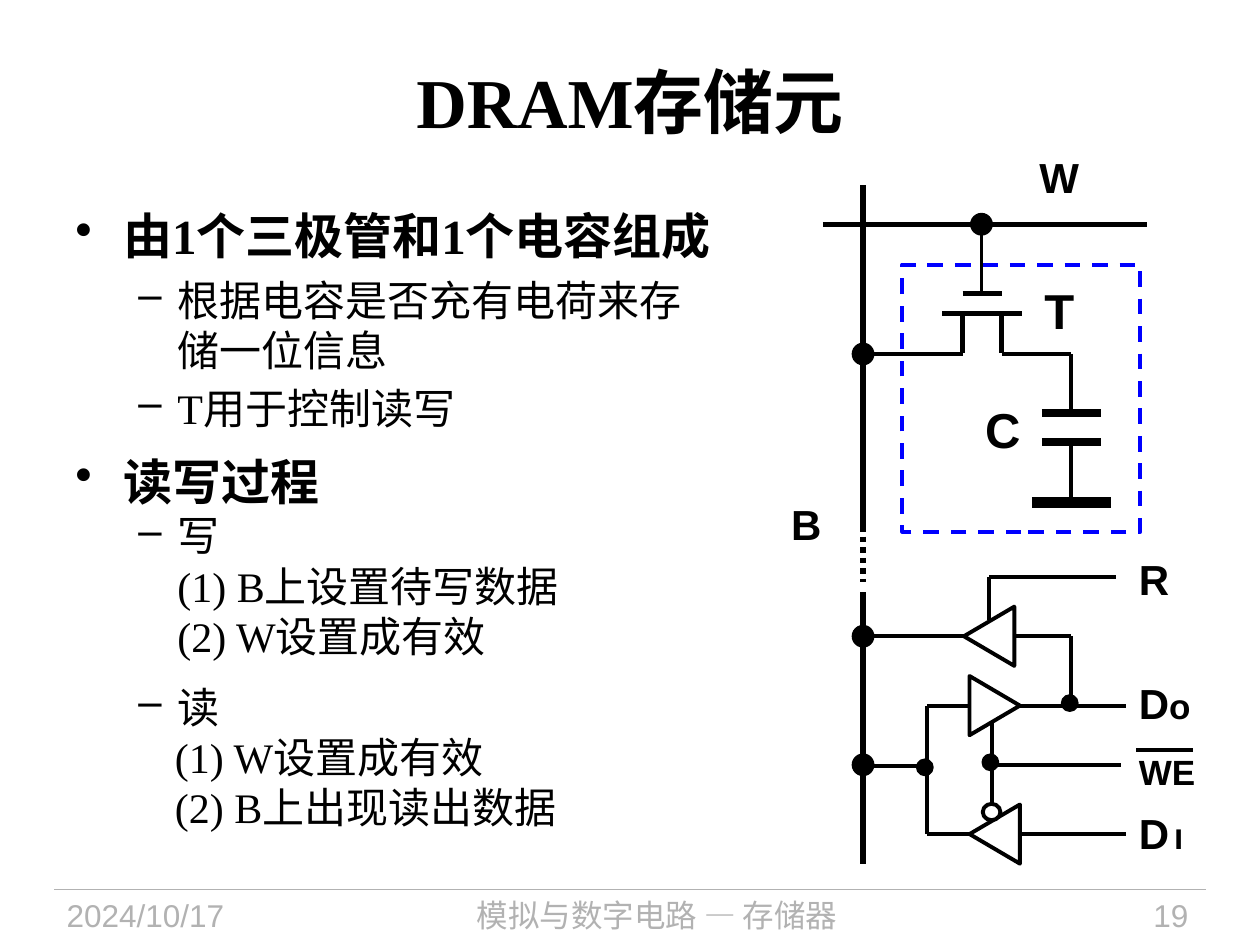
import pptx
import pptx.util
import pptx.dml.color
import pptx.enum.dml
import pptx.enum.shapes
import pptx.enum.text
import pptx.oxml.ns
from lxml import etree

COLORS = {"ink": "000000", "paper": "FFFFFF", "cell": "0000FF", "footer": "B2B2B2"}
SHAPES = pptx.enum.shapes.MSO_SHAPE
ALIGN = pptx.enum.text.PP_ALIGN
DASH = pptx.enum.dml.MSO_LINE
COLUMNS, ROWS = 100, 75  # grid over a slide of 10 x 7.5 inches
BIT_LINE = 68.5  # column of the vertical line B
LABEL_COLUMN = 89.4


def grid(units):
    return pptx.util.Inches(units / 10)


def rgb(name):
    return pptx.dml.color.RGBColor.from_string(COLORS[name])


def add_line(slide, start, end, width=2.25, color="ink", dash=None):
    line = slide.shapes.add_connector(
        pptx.enum.shapes.MSO_CONNECTOR.STRAIGHT, *map(grid, start + end))
    line.line.color.rgb = rgb(color)
    line.line.width = pptx.util.Pt(width)
    if dash:
        line.line.dash_style = dash
    etree.SubElement(line._element.spPr, pptx.oxml.ns.qn("a:effectLst"))
    return line


def add_figure(slide, kind, box, fill=None, color="ink", width=2.25, rotation=0):
    shape = slide.shapes.add_shape(kind, *map(grid, box))
    shape.shadow.inherit = False
    shape.rotation = rotation
    if fill:
        shape.fill.solid()
        shape.fill.fore_color.rgb = rgb(fill)
    else:
        shape.fill.background()
    shape.line.color.rgb = rgb(color)
    shape.line.width = pptx.util.Pt(width)
    return shape


def add_dot(slide, column, row, size):
    box = (column - size / 2, row - size / 2, size, size)
    add_figure(slide, SHAPES.OVAL, box, "ink", width=1.5)


def add_buffer(slide, column, row, rotation):
    """Triangle centred on a grid point: 90 points left, 270 points right."""
    box = (column - 2.35, row - 2, 4.7, 4)
    add_figure(slide, SHAPES.FLOWCHART_MERGE, box, "paper", rotation=rotation)


def format_run(run, size, font, color="ink", bold=False):
    run.font.size = pptx.util.Pt(size)
    run.font.name = font
    run.font.bold = bold
    run.font.color.rgb = rgb(color)


def add_text(slide, box, runs, align=ALIGN.LEFT, color="ink", bold=True, wrap=True):
    """Runs are (text, size, font) tuples in a single paragraph."""
    text_frame = slide.shapes.add_textbox(*map(grid, box)).text_frame
    text_frame.word_wrap = wrap
    paragraph = text_frame.paragraphs[0]
    paragraph.alignment = align
    for text, size, font in runs:
        run = paragraph.add_run()
        run.text = text
        format_run(run, size, font, color, bold)
    return text_frame


def set_bullet(paragraph, left, hanging, bullet):
    properties = paragraph._p.get_or_add_pPr()
    properties.set("marL", str(grid(left)))
    properties.set("indent", str(-grid(hanging)))
    if bullet == "(1)":
        tag, attribute, value = "a:buAutoNum", "type", "arabicParenBoth"
    elif bullet:
        tag, attribute, value = "a:buChar", "char", bullet
    else:
        etree.SubElement(properties, pptx.oxml.ns.qn("a:buNone"))
        return
    etree.SubElement(properties, pptx.oxml.ns.qn(tag)).set(attribute, value)


def add_body(slide):
    # kind: left margin, hanging indent, bullet, size
    kinds = {"head": (3.8, 3.8, "•", 28), "item": (8.1, 3.1, "–", 24),
             "step": (8.1, 0, None, 24), "number": (10, 2.1, "(1)", 24)}
    # kind, text, space before, space after
    lines = [
        ("head", "由1个三极管和1个电容组成", 0, 5.6),
        ("item", "根据电容是否充有电荷来存储一位信息", 0, 4.8),
        ("item", "T用于控制读写", 0, 4.8),
        ("head", "读写过程", 6, 0),
        ("item", "写", 0, 0),
        ("step", "(1) B上设置待写数据", 0, 0),
        ("step", "(2) W设置成有效", 0, 0),
        ("item", "读", 12, 0),
        ("number", " W设置成有效", 0, 0),
        ("number", " B上出现读出数据", 0, 0),
    ]
    text_frame = slide.shapes.add_textbox(*map(grid, (5, 15.9, 52.9, 53.9))).text_frame
    text_frame.word_wrap = True
    for index, (kind, text, before, after) in enumerate(lines):
        paragraph = text_frame.add_paragraph() if index else text_frame.paragraphs[0]
        left, hanging, bullet, size = kinds[kind]
        paragraph.text = text
        paragraph.level = 0 if kind == "head" else 1
        paragraph.line_spacing = pptx.util.Pt(round(size * 1.19, 1))
        paragraph.space_before = pptx.util.Pt(before)
        paragraph.space_after = pptx.util.Pt(after)
        set_bullet(paragraph, left, hanging, bullet)
        format_run(paragraph.runs[0], size, "Times New Roman", bold=kind == "head")


def add_footer(slide):
    add_line(slide, (4.3, 70.6), (95.7, 70.6), 0.75, "footer")
    for left, width, text, font, align in [
            (4.3, 18.8, "2024/10/17", "Arial", ALIGN.LEFT),
            (24, 56.3, "模拟与数字电路 — 存储器", "Noto Sans CJK SC", ALIGN.CENTER),
            (82, 13.3, "19", "Arial", ALIGN.RIGHT)]:
        add_text(slide, (left, 70.6, width, 4.4), [(text, 18, font)], align, "footer", False)


def add_cell(slide):
    # Dashed frame of one storage cell
    frame = add_figure(slide, SHAPES.RECTANGLE, (71.6, 21, 18.9, 21.2), color="cell")
    frame.line.dash_style = DASH.DASH
    # Word line and upper bit line
    add_line(slide, (65.3, 17.8), (91, 17.8), 3)
    add_line(slide, (BIT_LINE, 14.7), (BIT_LINE, 42.2), 3)
    # Transistor: gate, channel, two legs
    add_line(slide, (76.4, 23.3), (79.5, 23.3), 3)
    add_line(slide, (74.8, 24.9), (81.1, 24.9), 3)
    for column in (76.4, 79.5):
        add_line(slide, (column, 24.9), (column, 28), 3)
    add_line(slide, (77.9, 17.8), (77.9, 23.3))
    add_line(slide, (BIT_LINE, 28.1), (76.4, 28.1))
    add_line(slide, (79.5, 28.1), (85, 28.1))
    # Capacitor and ground
    add_line(slide, (85, 28.1), (85, 32.8))
    add_line(slide, (85, 35.1), (85, 39.9))
    for row in (32.8, 35.1):
        add_line(slide, (82.7, row), (87.4, row), 4.5)
    add_line(slide, (81.9, 39.9), (88.2, 39.9), 6)
    add_dot(slide, 77.9, 17.8, 1.6)
    add_dot(slide, BIT_LINE, 28.1, 1.6)


def add_read_write_circuit(slide):
    # Lower bit line, with its dotted continuation
    add_line(slide, (BIT_LINE, 42.6), (BIT_LINE, 46.2), 3, dash=DASH.ROUND_DOT)
    add_line(slide, (BIT_LINE, 47), (BIT_LINE, 68.6), 3)
    # Wires
    for start, end in [
            ((BIT_LINE, 50.5), (85, 50.5)), ((85, 50.5), (85, 56)),
            ((78.5, 45.8), (88.6, 45.8)), ((78.5, 45.8), (78.5, 49.2)),
            ((73.6, 56), (89.4, 56)), ((73.6, 66.2), (89.4, 66.2)),
            ((73.6, 56), (73.6, 66.2)), ((BIT_LINE, 60.8), (73.4, 60.8)),
            ((78.7, 60.7), (89, 60.7)), ((78.7, 56.8), (78.7, 64.9))]:
        add_line(slide, start, end)
    # Buffers, with the inverting bubble on the lowest one
    add_buffer(slide, 78.5, 50.5, 90)
    add_buffer(slide, 78.95, 56, 270)
    add_buffer(slide, 78.95, 66.2, 90)
    add_figure(slide, SHAPES.OVAL, (78, 63.8, 1.4, 1.3), "paper")
    # Junctions
    for column, row, size in [(BIT_LINE, 50.5, 1.6), (BIT_LINE, 60.7, 1.6),
                              (84.9, 55.8, 1.2), (78.6, 60.5, 1.2), (73.4, 60.9, 1.2)]:
        add_dot(slide, column, row, size)
    add_line(slide, (90.2, 59.5), (94.7, 59.5))  # bar over WE


def add_labels(slide):
    for left, top, width, height, runs in [
            (81.9, 21.8, 4.4, 5.7, [("T", 28, "Arial")]),
            (77.2, 31.2, 4.8, 5.7, [("C", 28, "Arial")]),
            (61.8, 39.1, 4.4, 5, [("B", 24, "Arial")]),
            (81.5, 11.5, 5.2, 5, [("W", 24, "Arial")]),
            (LABEL_COLUMN, 43.4, 4.5, 5, [("R", 24, "Arial")]),
            (LABEL_COLUMN, 53.3, 6.2, 5, [("D", 24, "Arial"), ("o", 20, "Arial")]),
            (LABEL_COLUMN, 59.1, 6.5, 4.4, [("WE", 20, "Arial")]),
            (LABEL_COLUMN, 63.6, 5.7, 5.1, [("D", 24, "Arial"), (" ", 10.5, "Arial"),
                                            ("I", 16, "Montserrat")])]:
        add_text(slide, (left, top, width, height), runs, wrap=False)


def main():
    presentation = pptx.Presentation()
    presentation.slide_width, presentation.slide_height = grid(COLUMNS), grid(ROWS)
    slide = presentation.slides.add_slide(presentation.slide_layouts[6])
    add_footer(slide)
    title = add_text(slide, (5, 1.7, 90, 12.5),
                     [("DRAM存储元", 40, "Times New Roman")], ALIGN.CENTER)
    title.vertical_anchor = pptx.enum.text.MSO_ANCHOR.MIDDLE
    add_body(slide)
    add_cell(slide)
    add_read_write_circuit(slide)
    add_labels(slide)
    presentation.save("out.pptx")


if __name__ == "__main__":
    main()
